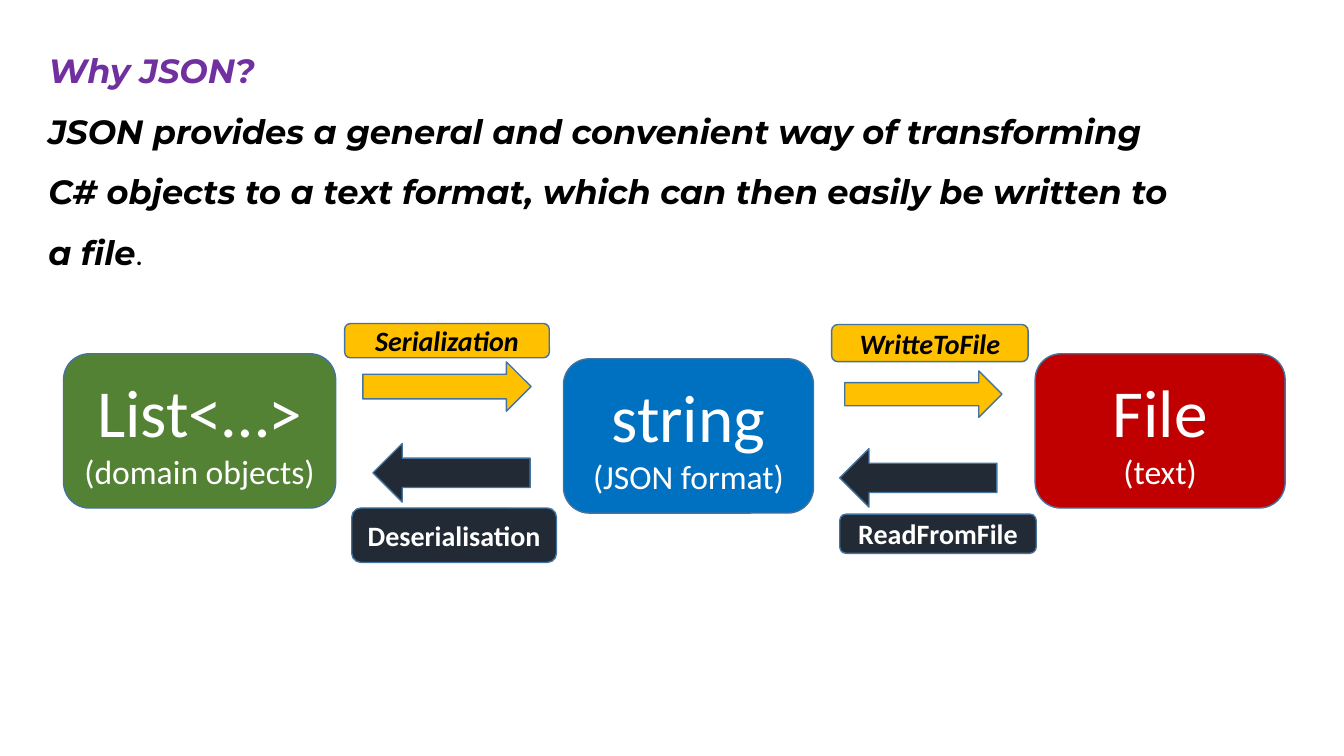
from pptx import Presentation
from pptx.dml.color import RGBColor
from pptx.enum.shapes import MSO_SHAPE
from pptx.enum.text import MSO_ANCHOR, MSO_AUTO_SIZE, PP_ALIGN
from pptx.util import Pt

COLORS = {
    "green": "548235",
    "blue": "0070C0",
    "red": "C00000",
    "amber": "FFC000",
    "navy": "222A35",
    "outline": "43739E",
    "purple": "7030A0",
    "black": "000000",
    "white": "FFFFFF",
}


class SlideBuilder:
    body_font = "Calibri"
    heading_font = "Montserrat"

    def __init__(self, slide):
        self.slide = slide

    def color(self, name):
        return RGBColor.from_string(COLORS[name])

    def run(self, p, text, color, **fmt):
        r = p.add_run()
        r.text = text
        r.font.color.rgb = self.color(color)
        for key, value in fmt.items():
            setattr(r.font, key, value)

    def shape(self, kind, box, fill):
        sp = self.slide.shapes.add_shape(kind, *map(Pt, box))
        sp.shadow.inherit = False
        sp.fill.solid()
        sp.fill.fore_color.rgb = self.color(fill)
        sp.line.color.rgb = self.color("outline")
        sp.line.width = Pt(1)
        return sp

    def box(self, box, fill, lines, color="white", **fmt):
        sp = self.shape(MSO_SHAPE.ROUNDED_RECTANGLE, box, fill)
        tf = sp.text_frame
        tf.word_wrap = True
        tf.vertical_anchor = MSO_ANCHOR.MIDDLE
        for i, (text, size) in enumerate(lines):
            p = tf.add_paragraph() if i else tf.paragraphs[0]
            p.alignment = PP_ALIGN.CENTER
            self.run(p, text, color, size=Pt(size), name=self.body_font, **fmt)

    def arrow(self, box, fill, rotation=0):
        sp = self.shape(MSO_SHAPE.RIGHT_ARROW, box, fill)
        sp.rotation = rotation

    def text(self, box, paragraphs):
        tf = self.slide.shapes.add_textbox(*map(Pt, box)).text_frame
        tf.word_wrap = True
        tf.auto_size = MSO_AUTO_SIZE.SHAPE_TO_FIT_TEXT
        for i, runs in enumerate(paragraphs):
            p = tf.add_paragraph() if i else tf.paragraphs[0]
            p.line_spacing = 1.5
            for text, color, strong in runs:
                self.run(p, text, color, size=Pt(24), name=self.heading_font,
                         bold=strong, italic=strong)


def main():
    prs = Presentation()
    prs.slide_width, prs.slide_height = Pt(960), Pt(540)
    s = SlideBuilder(prs.slides.add_slide(prs.slide_layouts[6]))

    s.text((27.4, 18, 817.9, 181.4), [
        [("Why JSON?", "purple", True)],
        [("JSON provides a general and convenient way of transforming C# objects "
          "to a text format, which can then easily be written to a file", "black", True),
         (".", "black", False)],
    ])

    stages = [
        (45.4, 252.7, 194.4, "green", "List<…>", "(domain objects)"),
        (402.5, 256.3, 178.6, "blue", "string", "(JSON format)"),
        (739.4, 252.7, 178.6, "red", "File", "(text)"),
    ]
    for x, y, w, fill, title, note in stages:
        s.box((x, y, w, 110.2), fill, [(title, 48), (note, 24)])

    forward = [
        ("Serialization", (246.2, 231.1, 146.2, 24.5), (259.2, 258.5, 120.2, 35.3)),
        ("WritteToFile", (594, 231.8, 140.4, 26.6), (603.4, 265, 112.3, 33.1)),
    ]
    for label, label_box, arrow_box in forward:
        s.box(label_box, "amber", [(label, 20)], "black", bold=True, italic=True)
        s.arrow(arrow_box, "amber")

    backward = [
        ("Deserialisation", (251.3, 362.9, 146.2, 38.9), (266.4, 316.8, 112.3, 41.8)),
        ("ReadFromFile", (599.8, 367.2, 140.4, 28.1), (599.8, 320.4, 112.3, 41.8)),
    ]
    for label, label_box, arrow_box in backward:
        s.box(label_box, "navy", [(label, 20)], bold=True)
        s.arrow(arrow_box, "navy", 180)

    prs.save("out.pptx")


if __name__ == "__main__":
    main()
